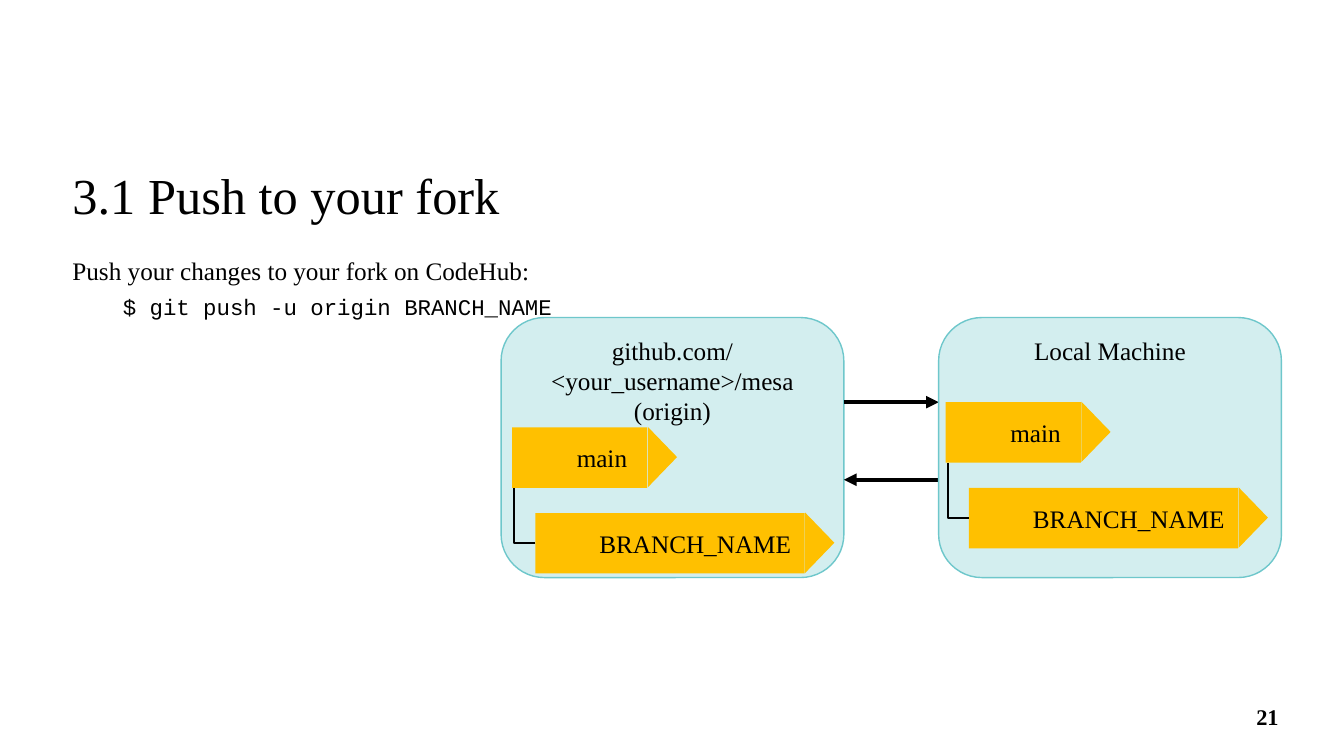
from dataclasses import dataclass

from lxml import etree
from pptx import Presentation
from pptx.dml.color import RGBColor
from pptx.enum.shapes import MSO_CONNECTOR, MSO_SHAPE
from pptx.enum.text import MSO_ANCHOR, PP_ALIGN
from pptx.oxml.ns import qn
from pptx.util import Pt

PX = 9144  # EMU; 100 px to the inch
STRAIGHT, ELBOW = MSO_CONNECTOR.STRAIGHT, MSO_CONNECTOR.ELBOW
RECTANGLE, ROUNDED = MSO_SHAPE.RECTANGLE, MSO_SHAPE.ROUNDED_RECTANGLE
TRIANGLE = MSO_SHAPE.ISOSCELES_TRIANGLE
TOP, MIDDLE, BOTTOM = MSO_ANCHOR.TOP, MSO_ANCHOR.MIDDLE, MSO_ANCHOR.BOTTOM
LEFT, CENTER, RIGHT = PP_ALIGN.LEFT, PP_ALIGN.CENTER, PP_ALIGN.RIGHT


@dataclass(frozen=True)
class Theme:
    ink: RGBColor = RGBColor(0, 0, 0)
    teal: RGBColor = RGBColor(0x6E, 0xC7, 0xCB)
    amber: RGBColor = RGBColor(0xFF, 0xC0, 0)
    font: str = "Times New Roman"
    code_font: str = "Courier New"
    title: int = 36
    body: int = 18
    small: int = 16


class SlideBuilder:
    def __init__(self, slide, theme):
        self.slide, self.theme = slide, theme

    def style(self, paragraph, size, font=None, bold=False, align=LEFT, spacing=None):
        paragraph.alignment = align
        if spacing:
            paragraph.line_spacing = spacing
        for run in paragraph.runs:
            run.font.name = font or self.theme.font
            run.font.size = Pt(size)
            run.font.bold = bold
            run.font.color.rgb = self.theme.ink

    def text_box(self, left, top, width, height, text, anchor=TOP):
        box = self.slide.shapes.add_textbox(left * PX, top * PX, width * PX, height * PX)
        frame = box.text_frame
        frame.word_wrap = True
        frame.vertical_anchor = anchor
        frame.text = text
        return frame.paragraphs

    def shape(self, shapes, kind, left, top, width, height, color):
        shape = shapes.add_shape(kind, left * PX, top * PX, width * PX, height * PX)
        shape.shadow.inherit = False
        shape.fill.solid()
        shape.fill.fore_color.rgb = color
        shape.line.fill.background()
        return shape

    def label(self, shape, text, anchor):
        frame = shape.text_frame
        frame.word_wrap = True
        frame.vertical_anchor = anchor
        frame.text = text
        for paragraph in frame.paragraphs:
            self.style(paragraph, self.theme.body, align=CENTER)

    def repository(self, left, top, text):
        teal = self.theme.teal
        box = self.shape(self.slide.shapes, ROUNDED, left, top, 340, 258, teal)
        color = box._element.spPr.find(qn("a:solidFill"))[0]
        etree.SubElement(color, qn("a:alpha"), val="30000")
        box.line.color.rgb = teal
        box.line.width = Pt(1)
        self.label(box, text, TOP)

    def tag(self, left, top, width, text, inset):
        """Draw a branch flag: a labelled bar with a pointed right end."""
        height, point = 60, 29
        shapes = self.slide.shapes.add_group_shape().shapes
        bar = self.shape(shapes, RECTANGLE, left, top, width, height, self.theme.amber)
        bar.text_frame.margin_left = inset * PX
        self.label(bar, text, MIDDLE)
        offset = (height - point) // 2
        tip = self.shape(shapes, TRIANGLE, left + width - offset, top + offset,
                         height, point, self.theme.amber)
        tip.rotation = 90

    def connector(self, kind, start, end, weight):
        line = self.slide.shapes.add_connector(
            kind, *(value * PX for value in (*start, *end)))
        line.line.color.rgb = self.theme.ink
        line.line.width = Pt(weight)
        properties = line._element.spPr
        etree.SubElement(properties, qn("a:effectLst"))
        return properties

    def arrow(self, start, end):
        properties = self.connector(STRAIGHT, start, end, 3)
        etree.SubElement(properties.find(qn("a:ln")), qn("a:tailEnd"), type="triangle")

    def elbow(self, start, end):
        """Run sideways from start, then turn once towards end."""
        properties = self.connector(ELBOW, start, end, 1.5)
        properties.find(qn("a:prstGeom")).set("prst", "bentConnector2")

    def branches(self, left, top):
        """Draw main with BRANCH_NAME forking off below it."""
        self.tag(left, top, 134, "main", 54)
        self.tag(left + 23, top + 85, 267, "BRANCH_NAME", 60)
        self.elbow((left + 23, top + 115), (left + 2, top + 60))


def main():
    presentation = Presentation()
    presentation.slide_width, presentation.slide_height = 1333 * PX, 750 * PX
    slide = presentation.slides.add_slide(presentation.slide_layouts[6])
    theme = Theme()
    builder = SlideBuilder(slide, theme)

    title, = builder.text_box(62, 164, 760, 65, "3.1 Push to your fork", BOTTOM)
    builder.style(title, theme.title, spacing=0.9)

    intro, command = builder.text_box(
        62, 239, 1216, 434,
        "Push your changes to your fork on CodeHub:\n$ git push -u origin BRANCH_NAME")
    builder.style(intro, theme.body, spacing=1.3)
    command._p.get_or_add_pPr().set("marL", str(50 * PX))
    builder.style(command, theme.small, theme.code_font, spacing=1.3)

    number, = builder.text_box(828, 691, 450, 40, "21", MIDDLE)
    builder.style(number, theme.small, bold=True, align=RIGHT)

    origin_left, local_left, box_top = 497, 931, 315
    origin_right = origin_left + 340
    builder.repository(origin_left, box_top,
                       "github.com/\n<your_username>/mesa\n(origin)")
    builder.arrow((origin_right, 399), (local_left, 399))
    builder.arrow((local_left, 476), (origin_right, 476))
    builder.repository(local_left, box_top, "Local Machine")
    builder.branches(938, 399)
    builder.branches(508, 424)
    presentation.save("out.pptx")


if __name__ == "__main__":
    main()
